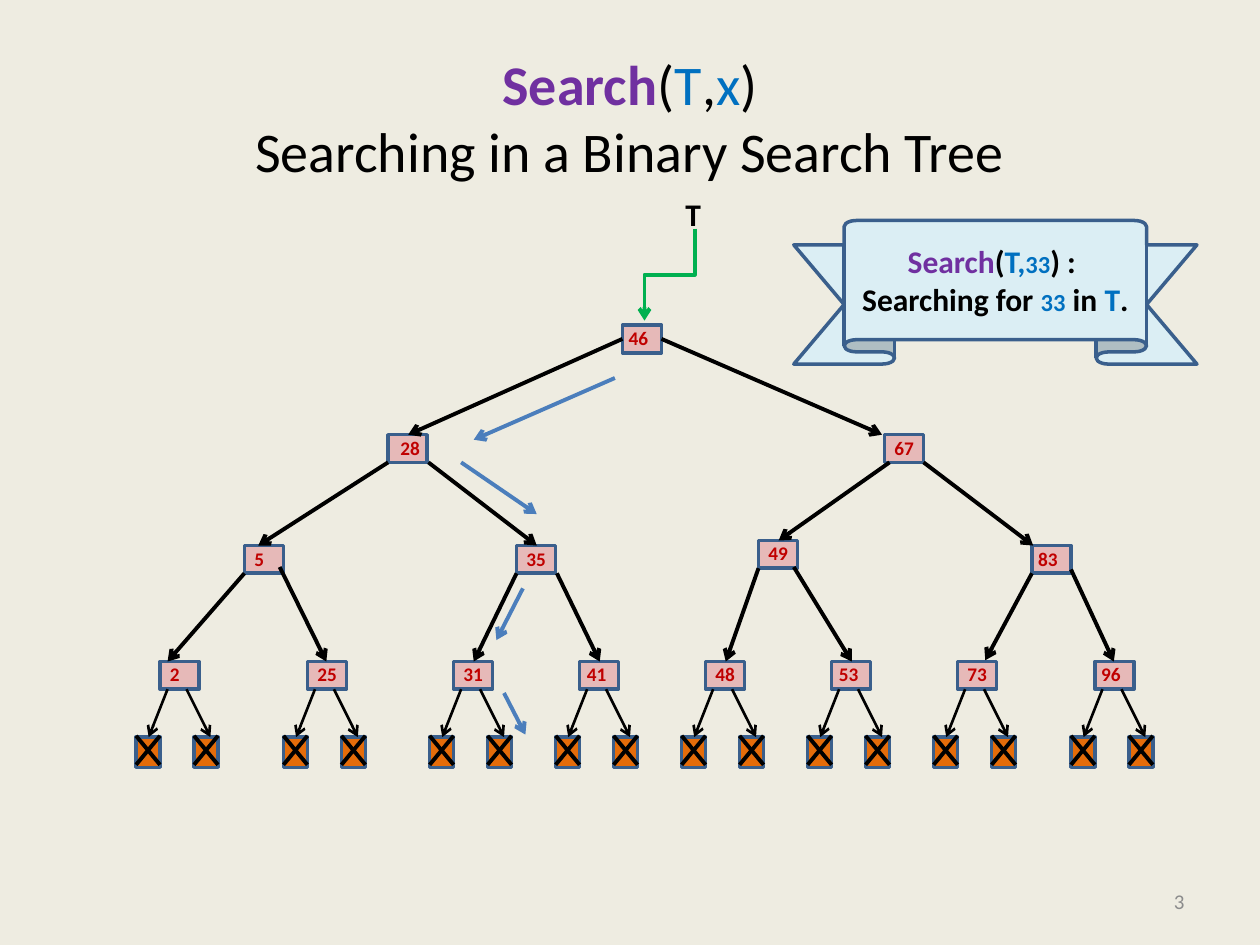
from lxml import etree
from pptx import Presentation
from pptx.dml.color import RGBColor
from pptx.enum.shapes import MSO_CONNECTOR, MSO_SHAPE
from pptx.enum.text import MSO_ANCHOR, MSO_AUTO_SIZE, PP_ALIGN
from pptx.oxml.ns import qn
from pptx.util import Inches, Pt

RECTANGLE, RIBBON = MSO_SHAPE.RECTANGLE, MSO_SHAPE.UP_RIBBON
STRAIGHT, ELBOW = MSO_CONNECTOR.STRAIGHT, MSO_CONNECTOR.ELBOW
LEFT, CENTER, RIGHT = PP_ALIGN.LEFT, PP_ALIGN.CENTER, PP_ALIGN.RIGHT
TOP, MIDDLE = MSO_ANCHOR.TOP, MSO_ANCHOR.MIDDLE
FIT_SHAPE = MSO_AUTO_SIZE.SHAPE_TO_FIT_TEXT

BLACK, PURPLE, BLUE, RED = "000000", "7030A0", "0070C0", "C00000"
GREEN, PATH_BLUE, OUTLINE = "00B050", "4B7EBC", "3A5F8C"
NODE_FILL, NULL_FILL, RIBBON_FILL, BACKGROUND = "E6B9B8", "E46C0A", "DBEEF4", "EEECE1"

NODE_WIDTH, NODE_HEIGHT = 0.31, 0.22
NULL_WIDTH, NULL_HEIGHT = 0.19, 0.24
LEAF_TOP = 5.25

# Key, left and top of each box, left of its label
INNER_NODES = [
    ("46", 4.94, 2.58, 4.89),
    ("28", 3.08, 3.45, 3.08), ("67", 7.02, 3.45, 7.0),
    ("5", 1.94, 4.33, 1.92), ("35", 4.1, 4.33, 4.08),
    ("49", 6.02, 4.29, 6.0), ("83", 8.19, 4.33, 8.14),
]
# Key, left of the box, left of its label
LEAVES = [
    ("2", 1.27, 1.25), ("25", 2.44, 2.42), ("31", 3.6, 3.58), ("41", 4.6, 4.56),
    ("48", 5.6, 5.58), ("53", 6.6, 6.56), ("73", 7.6, 7.58), ("96", 8.69, 8.64),
]
# Start and end of each arrow
TREE_EDGES = [
    ((4.94, 2.69), (3.24, 3.45)), ((5.25, 2.69), (7.0, 3.45)),
    ((3.08, 3.67), (2.05, 4.33)), ((3.4, 3.67), (4.26, 4.33)),
    ((7.06, 3.67), (6.18, 4.29)), ((7.33, 3.67), (8.2, 4.33)),
    ((1.94, 4.55), (1.33, 5.25)), ((2.22, 4.5), (2.59, 5.25)),
    ((4.1, 4.55), (3.76, 5.25)), ((4.42, 4.55), (4.76, 5.25)),
    ((6.02, 4.51), (5.76, 5.25)), ((6.3, 4.5), (6.76, 5.25)),
    ((8.19, 4.55), (7.82, 5.24)), ((8.5, 4.52), (8.84, 5.25)),
]
SEARCH_PATH = [
    ((4.88, 3.0), (3.76, 3.49)), ((3.66, 3.67), (4.26, 4.08)),
    ((4.15, 4.67), (3.94, 5.08)), ((4.0, 5.5), (4.17, 5.83)),
]


def rgb(value):
    return RGBColor.from_string(value)


def write_text(frame, text, size=18, color=BLACK, bold=False, align=LEFT,
               anchor=TOP, wrap=True):
    """Text is a string, or paragraphs of (text, format changes) runs."""
    paragraphs = [[(text, {})]] if isinstance(text, str) else text
    frame.word_wrap = wrap
    frame.vertical_anchor = anchor
    for index, runs in enumerate(paragraphs):
        paragraph = frame.add_paragraph() if index else frame.paragraphs[0]
        paragraph.alignment = align
        for words, changes in runs:
            if words == "\n":
                paragraph.add_line_break()
                continue
            run = paragraph.add_run()
            run.text = words
            run.font.name = "Calibri"
            run.font.size = Pt(changes.get("size", size))
            run.font.bold = changes.get("bold", bold)
            run.font.color.rgb = rgb(changes.get("color", color))


class TreeSlide:
    def __init__(self, presentation):
        self.slide = presentation.slides.add_slide(presentation.slide_layouts[6])
        self.shapes = self.slide.shapes
        fill = self.slide.background.fill
        fill.solid()
        fill.fore_color.rgb = rgb(BACKGROUND)

    def text(self, text, left, top, width, height, **style):
        box = self.shapes.add_textbox(*map(Inches, (left, top, width, height)))
        write_text(box.text_frame, text, **style)
        if not style.get("wrap", True):
            box.text_frame.auto_size = FIT_SHAPE

    def shape(self, kind, left, top, width, height, fill):
        shape = self.shapes.add_shape(kind, *map(Inches, (left, top, width, height)))
        shape.shadow.inherit = False
        shape.fill.solid()
        shape.fill.fore_color.rgb = rgb(fill)
        shape.line.color.rgb = rgb(OUTLINE)
        shape.line.width = Pt(2)
        return shape

    def line(self, start, end, color=BLACK, width=2.25, arrow=True, kind=STRAIGHT):
        connector = self.shapes.add_connector(kind, *map(Inches, (*start, *end)))
        connector.line.color.rgb = rgb(color)
        connector.line.width = Pt(width)
        properties = connector._element.spPr
        if arrow:
            etree.SubElement(properties.find(qn("a:ln")), qn("a:tailEnd"), type="arrow")
        etree.SubElement(properties, qn("a:effectLst"))
        return connector

    def node(self, key, left, top, label_left):
        self.shape(RECTANGLE, left, top, NODE_WIDTH, NODE_HEIGHT, NODE_FILL)
        self.text(key, label_left, top - 0.04, 0.28 if len(key) == 1 else 0.36, 0.29,
                  size=11, color=RED, bold=True, wrap=False)

    def null_child(self, left, top):
        self.shape(RECTANGLE, left, top, NULL_WIDTH, NULL_HEIGHT, NULL_FILL)
        right, upper, lower = left + NULL_WIDTH, top - 0.01, top + 0.22
        self.line((right, upper), (left, lower), arrow=False)
        self.line((left, upper), (right, lower), arrow=False)

    def leaf(self, key, left, label_left):
        self.node(key, left, LEAF_TOP, label_left)
        bottom = LEAF_TOP + NODE_HEIGHT
        null_top = LEAF_TOP + 0.6
        # Offsets of the empty child, the arrow's start and its end
        for child, start, end in ((-0.19, 0.06, -0.09), (0.27, 0.21, 0.4)):
            self.null_child(left + child, null_top)
            self.line((left + start, bottom), (left + end, null_top), width=1.5)


def main():
    presentation = Presentation()
    presentation.slide_width, presentation.slide_height = Inches(10), Inches(7.5)
    tree = TreeSlide(presentation)

    # Title and slide number
    title = [[("Search", {"color": PURPLE, "bold": True}), ("(", {}),
              ("T", {"color": BLUE}), (",", {}), ("x", {"color": BLUE}), (")", {}),
              ("\n", {}), ("Searching in a Binary Search Tree", {})]]
    tree.text(title, 0.5, 0.3, 9, 1.25, size=32, align=CENTER, anchor=MIDDLE)
    tree.text("3", 7.17, 6.95, 2.33, 0.4, size=12, color="8C8C8C",
              align=RIGHT, anchor=MIDDLE)

    # Tree
    for inner_node in INNER_NODES:
        tree.node(*inner_node)
    for leaf in LEAVES:
        tree.leaf(*leaf)
    for start, end in TREE_EDGES:
        tree.line(start, end)

    # Pointer to the root, an elbow turned by 90 degrees
    tree.text("T", 5.34, 1.5, 0.32, 0.4, bold=True, wrap=False)
    pointer = tree.line((4.95, 1.98), (5.68, 2.38), color=GREEN, kind=ELBOW)
    pointer._element.spPr.find(qn("a:xfrm")).set("rot", str(90 * 60000))

    # Ribbon with the query
    ribbon = tree.shape(RIBBON, 6.3, 1.75, 3.2, 1.14, RIBBON_FILL)
    ribbon.adjustments[0], ribbon.adjustments[1] = 0.17, 0.75
    number = ("33", {"size": 14, "color": BLUE})
    query = [
        [("Search", {"color": PURPLE}), ("(", {}), ("T,", {"color": BLUE}), number,
         (") : ", {})],
        [("Searching for ", {}), number, (" in ", {}), ("T", {"color": BLUE}), (".", {})],
    ]
    write_text(ribbon.text_frame, query, bold=True, align=CENTER, anchor=MIDDLE)

    # Path of the search
    for start, end in SEARCH_PATH:
        tree.line(start, end, color=PATH_BLUE)

    presentation.save("out.pptx")


if __name__ == "__main__":
    main()
